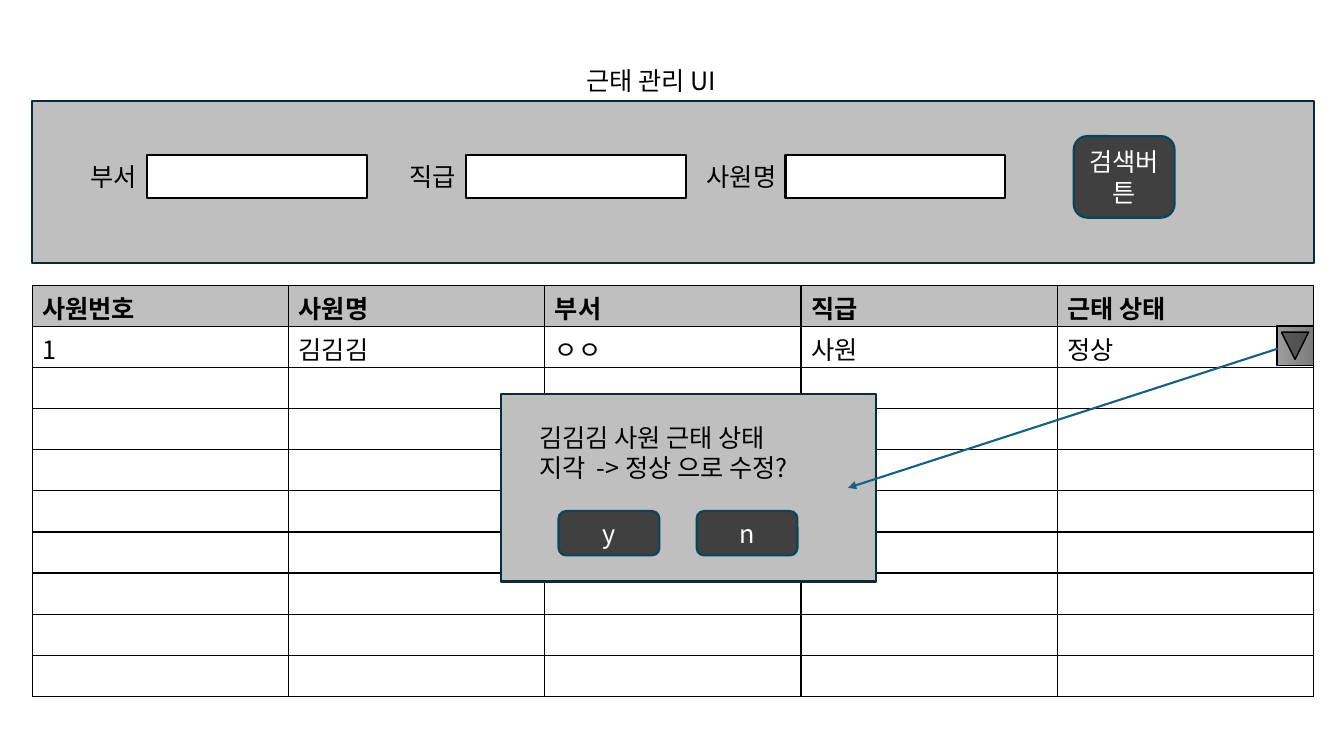
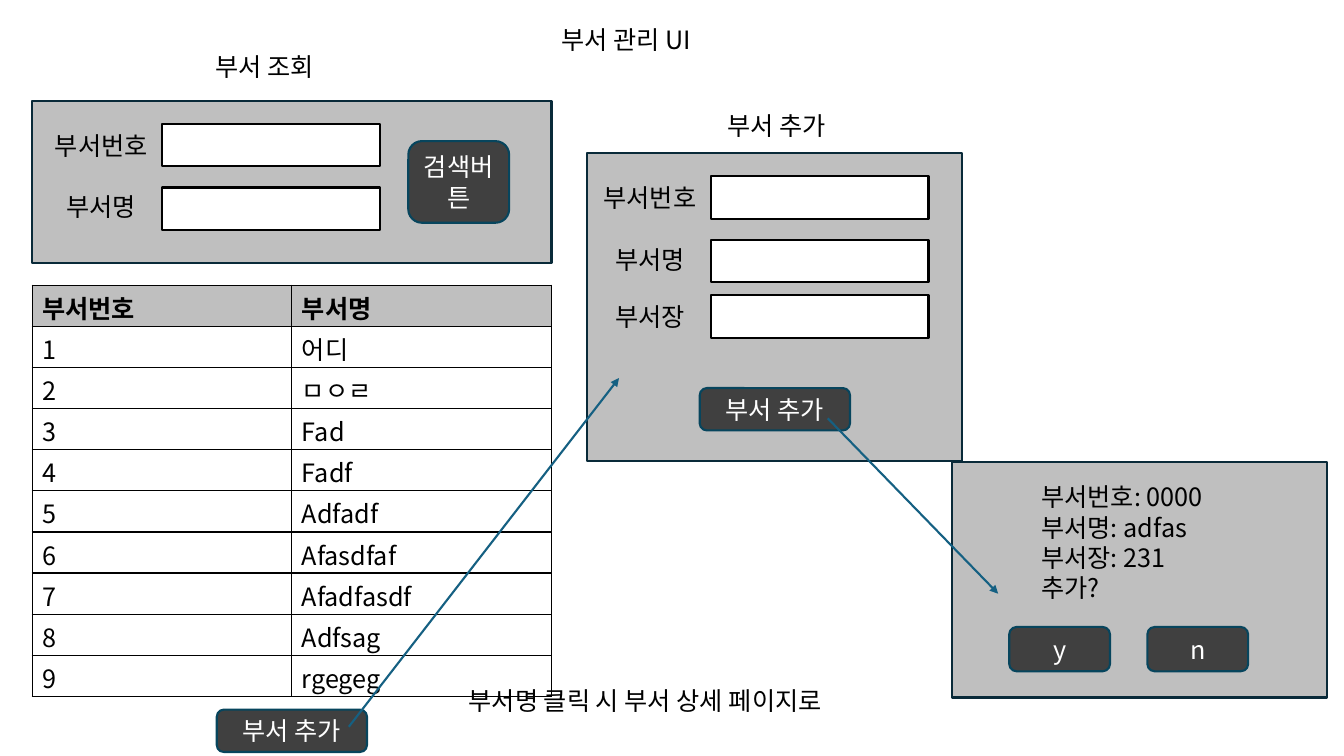
import lxml.etree
import pptx
import pptx.dml.color
import pptx.enum.shapes
import pptx.enum.text
import pptx.oxml.ns
import pptx.util

PX = 9144
FONT = "Noto Sans CJK KR"
COLORS = {
    "panel": "BFBFBF",
    "panel_line": "092A39",
    "button": "404040",
    "button_line": "07455D",
    "arrow": "156082",
    "white": "FFFFFF",
    "black": "000000",
    "bevel_light": "9D9D9D",
    "bevel_dark": "7C7C7C",
}
SHAPES = pptx.enum.shapes.MSO_SHAPE
CENTER = pptx.enum.text.PP_ALIGN.CENTER
MIDDLE = pptx.enum.text.MSO_ANCHOR.MIDDLE
TABLE_TOP, TABLE_HEIGHT, TABLE_ROWS = 283, 408, 10
FIELD_HEIGHT = 42


def px(*lengths):
    """Turn px lengths into EMU."""
    return [pptx.util.Emu(round(length * PX)) for length in lengths]


def color(name):
    """Look up a shared colour."""
    return pptx.dml.color.RGBColor.from_string(COLORS[name])


def write(text_frame, lines, ink="black", bold=False, align=None):
    """Write one paragraph per line in the shared text style."""
    for index, line in enumerate(lines):
        paragraph = text_frame.paragraphs[0] if index == 0 else text_frame.add_paragraph()
        paragraph.line_spacing = pptx.util.Pt(21.6)
        if align is not None:
            paragraph.alignment = align
        if not line:
            continue
        run = paragraph.add_run()
        run.text = line
        run.font.size = pptx.util.Pt(18)
        run.font.bold = bold
        run.font.name = FONT
        run.font.color.rgb = color(ink)
        east_asian = lxml.etree.SubElement(
            run._r.get_or_add_rPr(), pptx.oxml.ns.qn("a:ea"))
        east_asian.set("typeface", FONT)


def add_box(slide, box, fill, line, kind=SHAPES.RECTANGLE):
    """Add a filled and outlined shape."""
    shape = slide.shapes.add_shape(kind, *px(*box))
    shape.shadow.inherit = False
    shape.fill.solid()
    shape.fill.fore_color.rgb = color(fill)
    shape.line.color.rgb = color(line)
    shape.line.width = pptx.util.Pt(1.5)
    return shape


def add_panel(slide, box):
    """Add a grey panel."""
    return add_box(slide, box, "panel", "panel_line")


def add_button(slide, box, label):
    """Add a dark rounded button with its label."""
    shape = add_box(slide, box, "button", "button_line", SHAPES.ROUNDED_RECTANGLE)
    shape.text_frame.word_wrap = True
    shape.text_frame.vertical_anchor = MIDDLE
    write(shape.text_frame, [label], "white", align=CENTER)


def add_caption(slide, box, *lines):
    """Add free text that does not wrap."""
    text_frame = slide.shapes.add_textbox(*px(*box)).text_frame
    text_frame.word_wrap = False
    text_frame.auto_size = pptx.enum.text.MSO_AUTO_SIZE.SHAPE_TO_FIT_TEXT
    write(text_frame, lines)


def add_label(slide, box, label):
    """Add a centred field label."""
    text_frame = slide.shapes.add_textbox(*px(*box)).text_frame
    text_frame.word_wrap = True
    text_frame.vertical_anchor = MIDDLE
    write(text_frame, [label], align=CENTER)


def add_field(slide, left, top, width):
    """Add a white input field."""
    add_box(slide, (left, top, width, FIELD_HEIGHT), "white", "black")


def add_arrow(slide, start, end):
    """Add a straight arrow from start to end."""
    connector = slide.shapes.add_connector(
        pptx.enum.shapes.MSO_CONNECTOR.STRAIGHT, *px(*start, *end))
    connector.line.color.rgb = color("arrow")
    connector.line.width = pptx.util.Pt(1.5)
    qn = pptx.oxml.ns.qn
    properties = connector.element.find(qn("p:spPr"))
    tail = lxml.etree.SubElement(properties.find(qn("a:ln")), qn("a:tailEnd"))
    tail.set("type", "triangle")
    lxml.etree.SubElement(properties, qn("a:effectLst"))


def add_borders(cell):
    """Draw black 1 pt borders on all sides of a cell."""
    qn = pptx.oxml.ns.qn
    properties = cell._tc.get_or_add_tcPr()
    for side in ("a:lnL", "a:lnR", "a:lnT", "a:lnB"):
        line = lxml.etree.SubElement(properties, qn(side), w=str(pptx.util.Pt(1)))
        fill = lxml.etree.SubElement(line, qn("a:solidFill"))
        lxml.etree.SubElement(fill, qn("a:srgbClr"), val=COLORS["black"])


def add_grid(slide, left, width, rows):
    """Add a table with a grey header, padded with empty rows."""
    columns = len(rows[0])
    rows = rows + [[""] * columns] * (TABLE_ROWS - len(rows))
    frame = slide.shapes.add_table(
        TABLE_ROWS, columns, *px(left, TABLE_TOP, width, TABLE_HEIGHT))
    for row_index, row in enumerate(rows):
        for column_index, value in enumerate(row):
            header = row_index == 0
            cell = frame.table.cell(row_index, column_index)
            cell.margin_top, cell.margin_bottom = px(10, 0)
            add_borders(cell)
            cell.fill.solid()
            cell.fill.fore_color.rgb = color("panel" if header else "white")
            write(cell.text_frame, [value], bold=header)


def add_search_bar(slide, box):
    """Add the attendance search panel with a row of fields."""
    left, top, width, height = box
    add_panel(slide, box)
    fields = [("부서", 90), ("직급", 90), ("사원명", 111)]
    for index, (label, label_width) in enumerate(fields):
        field_left = left + 114 + index * 633 // 2
        add_field(slide, field_left, top + 54, 218)
        label_left = field_left + 12 - label_width
        add_label(slide, (label_left, top + 54, label_width, FIELD_HEIGHT), label)
    add_button(slide, (left + 1033, top + 35, 100, 81), "검색버튼")


def add_form(slide, box, field_left, rows):
    """Add a panel of stacked fields given as label, field top and label top."""
    left, top, width, height = box
    add_panel(slide, box)
    for label, field_top, label_top in rows:
        add_field(slide, left + field_left, top + field_top, 216)
        label_left = left + field_left - 121
        add_label(slide, (label_left, top + label_top, 121, FIELD_HEIGHT), label)


def add_dialog(slide, box, text_box, *lines):
    """Add a question panel with y and n buttons near its bottom."""
    left, top, width, height = box
    text_left, text_top, text_width, text_height = text_box
    add_panel(slide, box)
    add_caption(
        slide, (left + text_left, top + text_top, text_width, text_height), *lines)
    for index, answer in enumerate("yn"):
        button_left = left + 57 + index * 137
        add_button(slide, (button_left, top + height - 70, 100, 44), answer)


def add_dropdown(slide, box):
    """Add a bevelled button turned to point down."""
    shape = add_box(
        slide, box, "bevel_light", "black", SHAPES.ACTION_BUTTON_BACK_OR_PREVIOUS)
    shape.rotation = 270
    shape.line.width = pptx.util.Pt(1)
    shape.fill.gradient()
    shape.fill.gradient_angle = 270
    for stop, name in zip(shape.fill.gradient_stops, ("bevel_light", "bevel_dark")):
        stop.color.rgb = color(name)


def build_attendance(slide):
    """Build the attendance management slide."""
    add_search_bar(slide, (32, 100, 1271, 161))
    add_caption(slide, (572, 60, 164, 40), "근태 관리 UI")
    add_grid(slide, 32, 1271, [
        ["사원번호", "사원명", "부서", "직급", "근태 상태"],
        ["1", "김김김", "ㅇㅇ", "사원", "정상"],
    ])
    add_dropdown(slide, (1265, 325, 39, 36))
    add_dialog(slide, (497, 391, 372, 186), (28, 23, 315, 71),
               "김김김 사원 근태 상태", "지각  -> 정상 으로 수정?")
    add_arrow(slide, (1267, 346), (841, 484))


def build_departments(slide):
    """Build the department management slide."""
    rows = [("부서번호", 23, 23), ("부서명", 86, 84), ("부서장", 141, 141)]
    add_form(slide, (582, 152, 372, 305), 123, rows)
    add_form(slide, (32, 100, 515, 161), 129, rows[:2])
    add_button(slide, (405, 140, 100, 81), "검색버튼")
    add_caption(slide, (547, 19, 164, 40), "부서 관리 UI")
    add_caption(slide, (204, 46, 130, 40), "부서 조회")
    add_caption(slide, (712, 105, 130, 40), "부서 추가")
    names = ["어디", "ㅁㅇㄹ", "Fad", "Fadf", "Adfadf", "Afasdfaf",
             "Afadfasdf", "Adfsag", "rgegeg"]
    add_grid(slide, 32, 515, [["부서번호", "부서명"]] + [
        [str(number), name] for number, name in enumerate(names, 1)])
    for left, top in ((215, 704), (694, 385)):
        add_button(slide, (left, top, 149, 42), "부서 추가")
    add_dialog(slide, (944, 458, 372, 234), (79, 15, 191, 131),
               "부서번호: 0000", "부서명: adfas", "부서장: 231", "추가?")
    add_arrow(slide, (346, 721), (614, 375))
    add_arrow(slide, (821, 415), (990, 589))
    add_caption(slide, (455, 675, 418, 40), "부서명 클릭 시 부서 상세 페이지로")


def main():
    """Build and save the presentation."""
    presentation = pptx.Presentation()
    presentation.slide_width, presentation.slide_height = px(1333, 750)
    for build in (build_attendance, build_departments):
        build(presentation.slides.add_slide(presentation.slide_layouts[6]))
    presentation.save("out.pptx")


if __name__ == "__main__":
    main()
